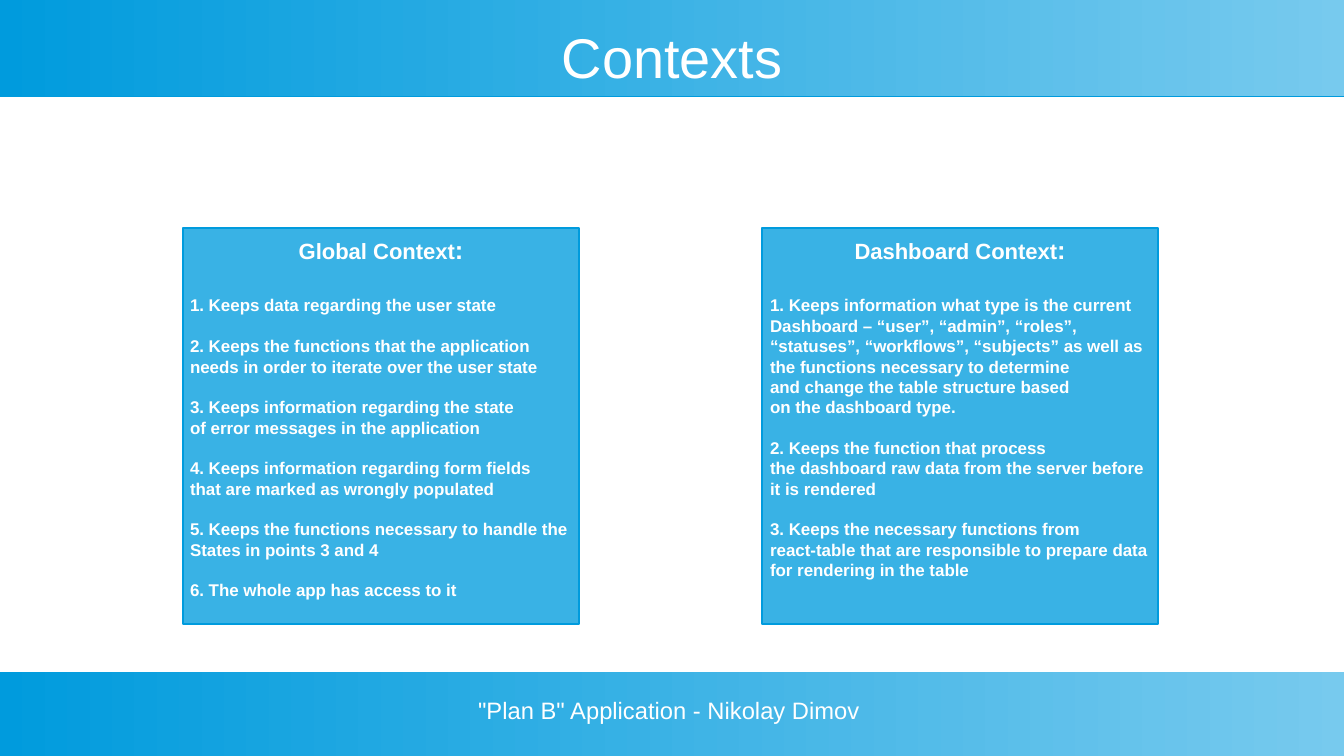
from dataclasses import dataclass

from lxml import etree
from pptx import Presentation, util as u
from pptx.dml.color import RGBColor
from pptx.enum import shapes, text
from pptx.oxml.ns import qn

SCALE = 914400 / 122
WIDE, HIGH = 1344, 756
WHITE, PALE, MID, DEEP = "FFFFFF", "77CAEE", "39B2E5", "009BDD"
LEFT, MIDDLE = text.PP_ALIGN.LEFT, text.PP_ALIGN.CENTER


@dataclass
class Box:
    x: int
    y: int
    w: int
    h: int


@dataclass
class Card:
    box: Box
    pad: int
    head: str
    items: list[list[str]]


def px(n: int) -> u.Emu:
    return u.Emu(round(n * SCALE))


def area(box: Box) -> list[u.Emu]:
    return [px(n) for n in (box.x, box.y, box.w, box.h)]


def hue(code: str) -> RGBColor:
    return RGBColor.from_string(code)


def add_run(para, words: str, size: float, bold: bool = False) -> None:
    run = para.add_run()
    run.text = words
    font = run.font
    font.name, font.size, font.bold = "Arial", u.Pt(size), bold
    font.color.rgb = hue(WHITE)


def set_frame(frame, side: int, top: int, anchor) -> None:
    frame.word_wrap = True
    frame.vertical_anchor = anchor
    frame.margin_left = frame.margin_right = px(side)
    frame.margin_top = frame.margin_bottom = px(top)


def add_rect(slide, box: Box):
    rect = slide.shapes.add_shape(shapes.MSO_SHAPE.RECTANGLE, *area(box))
    rect.shadow.inherit = False
    return rect


def add_band(slide, box: Box) -> None:
    band = add_rect(slide, box)
    band.line.fill.background()
    band.fill.gradient()
    band.fill.gradient_angle = 180
    for stop, code in zip(band.fill.gradient_stops, (PALE, DEEP)):
        stop.color.rgb = hue(code)


def add_rule(slide, y: int) -> None:
    rule = slide.shapes.add_connector(
        shapes.MSO_CONNECTOR.STRAIGHT, 0, px(y), px(WIDE), px(y))
    rule.line.color.rgb = hue(DEEP)
    rule.line.width = u.Pt(0.5)
    etree.SubElement(rule._element.spPr, qn("a:effectLst"))


def add_label(slide, box: Box, words: str, size: float, anchor) -> None:
    frame = slide.shapes.add_textbox(*area(box)).text_frame
    set_frame(frame, 0, 0, anchor)
    para = frame.paragraphs[0]
    para.alignment = MIDDLE
    add_run(para, words, size)


def add_card(slide, card: Card) -> None:
    rect = add_rect(slide, card.box)
    rect.fill.solid()
    rect.fill.fore_color.rgb = hue(MID)
    rect.line.color.rgb = hue(DEEP)
    rect.line.width = u.Pt(1.42)
    frame = rect.text_frame
    set_frame(frame, card.pad, 6, text.MSO_ANCHOR.TOP)
    para = frame.paragraphs[0]
    para.alignment = MIDDLE
    add_run(para, card.head, 13, True)
    add_run(para, ":", 15, True)
    gap = 18
    for item in card.items:
        for row, line in enumerate(item):
            para = frame.add_paragraph()
            para.alignment = LEFT
            para.space_before = u.Pt(0 if row else gap)
            add_run(para, line, 10, True)
        gap = 12


CARDS = [
    Card(Box(183, 228, 396, 396), 7, "Global Context", [
        ["1. Keeps data regarding the user state"],
        ["2. Keeps the functions that the application",
         "needs in order to iterate over the user state"],
        ["3. Keeps information regarding the state",
         "of error messages in the application"],
        ["4. Keeps information regarding form fields",
         "that are marked as wrongly populated"],
        ["5. Keeps the functions necessary to handle the",
         "States in points 3 and 4"],
        ["6. The whole app has access to it"],
    ]),
    Card(Box(762, 228, 396, 396), 8, "Dashboard Context", [
        ["1. Keeps information what type is the current",
         "Dashboard – “user”, “admin”, “roles”,",
         "“statuses”, “workflows”, “subjects” as well as",
         "the functions necessary to determine",
         "and change the table structure based",
         "on the dashboard type."],
        ["2. Keeps the function that process",
         "the dashboard raw data from the server before",
         "it is rendered"],
        ["3. Keeps the necessary functions from",
         "react-table that are responsible to prepare data",
         "for rendering in the table"],
    ]),
]


def main() -> None:
    deck = Presentation()
    deck.slide_width, deck.slide_height = px(WIDE), px(HIGH)
    slide = deck.slides.add_slide(deck.slide_layouts[6])
    add_band(slide, Box(0, 0, WIDE, 96))
    add_rule(slide, 96)
    add_band(slide, Box(0, 672, WIDE, 84))
    add_label(slide, Box(48, 24, 1248, 64), "Contexts", 33,
              text.MSO_ANCHOR.MIDDLE)
    for card in CARDS:
        add_card(slide, card)
    add_label(slide, Box(453, 696, 432, 48),
              "\"Plan B\" Application - Nikolay Dimov", 14,
              text.MSO_ANCHOR.TOP)
    deck.save("out.pptx")


if __name__ == "__main__":
    main()
